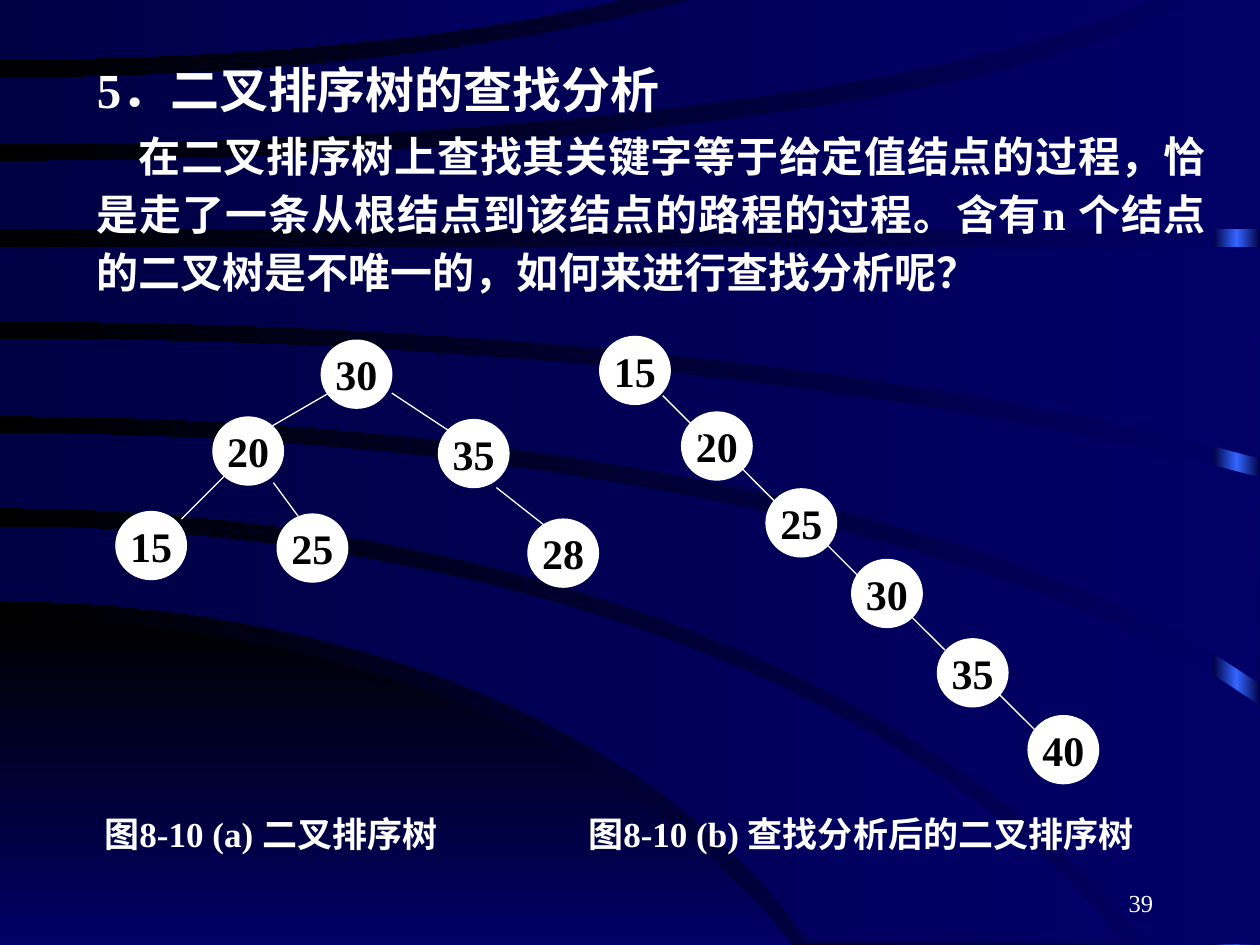
"""Build a slide on search analysis in binary search trees."""
import copy
import math

import pptx
import pptx.dml.color
import pptx.enum.shapes
import pptx.enum.text
import pptx.oxml.ns
import pptx.util

COLORS = {"navy": "000066", "deep": "000044", "black": "000000",
          "glow": "3366FF", "white": "FFFFFF"}
LATIN, CJK = "Times New Roman", "Noto Sans CJK SC"
WIDTH, HEIGHT = 10, 7.5
NODE_W, NODE_H = 0.56, 0.54
ARC_STEPS = 24

# Each arc is (start y, total drop, p, q) on the ellipse x² = p·d - q·d².
HILL = ((4.91, 2.59, 21.2, 2.3), [(0, HEIGHT)], None)
BANDS = [
    ((4.77, 2.71, 21.8, 2.44), [], (4.18, 3.3, 34.1, 3.02)),
    ((4.03, 3.45, 33.75, 2.84), [(WIDTH, HEIGHT)], (3.44, 2.16, 64.3, 8.34)),
    ((3.3, 2.12, 65.3, 8.6), [], (2.69, 1.1, 108.5, 16)),
    ((2.55, 1.09, 111.3, 18), [(WIDTH, 1.96), (0, 1.96)], None),
    ((1.28, -1.3, 112, 33.6), [(WIDTH, 0), (WIDTH, 1.82), (0, 1.82)], None),
    ((1.14, -1.16, 108.4, 31), [], (0.62, -0.64, 58, 15.2)),
    ((0.47, -0.49, 63, 24), [(0, 0)], None),
]
NODES = [("30", 2.55, 2.7), ("25", 2.2, 4.08), ("28", 4.19, 4.12), ("15", 0.92, 4.06),
         ("35", 3.48, 3.33), ("20", 1.69, 3.31),
         ("15", 4.76, 2.67), ("20", 5.41, 3.27), ("25", 6.08, 3.88),
         ("30", 6.76, 4.44), ("35", 7.44, 5.07), ("40", 8.16, 5.68)]
BRANCHES = [(2.61, 3.12, 2.11, 3.41), (1.78, 3.78, 1.44, 4.12), (3.11, 3.12, 3.61, 3.45),
            (3.94, 3.87, 4.36, 4.2), (2.17, 3.83, 2.42, 4.17)]
CHAIN_STARTS = [(5.26, 3.14), (5.84, 3.67), (6.57, 4.33), (7.17, 4.83), (7.92, 5.5)]
CHAIN_STEP = 0.33
HEADING = [("5．二叉排序树的查找分析", LATIN)]
BODY = [("在二叉排序树上查找其关键字等于给定值结点的过程，恰是走了一条从根结点到该结点的路程的过程。含有", CJK),
        ("n ", LATIN),
        ("个结点的二叉树是不唯一的，如何来进行查找分析呢？", CJK)]
CAPTIONS = [(0.73, 3.5, [("图", CJK), ("8-10 (a) 二叉排序树", LATIN)]),
            (4.57, 5.1, [("图", CJK), ("8-10 (b) 查找分析后的二叉排序树", LATIN)])]
PAGE = [("39", LATIN)]

ALIGN = pptx.enum.text.PP_ALIGN
qn = pptx.oxml.ns.qn


def inch(value):
    return pptx.util.Cm(value * 2.54)


def rgb(name):
    return pptx.dml.color.RGBColor.from_string(COLORS[name])


def set_gradient(fill, start, end, angle=180):
    fill.gradient()
    fill.gradient_angle = angle
    for stop, name, position in zip(fill.gradient_stops, (start, end), (0, 1)):
        stop.color.rgb = rgb(name)
        stop.position = position


def arc_points(start_y, drop, p, q):
    points = []
    for i in range(ARC_STEPS + 1):
        y = drop * (i / ARC_STEPS) ** 2
        d = abs(y)
        points.append((min(WIDTH, math.sqrt(p * d - q * d * d)), start_y + y))
    return points


def add_outline(s, outline, start, end, angle=180):
    first, corners, last = outline
    points = arc_points(*first) + corners
    if last:
        points += arc_points(*last)[::-1]
    points = [(inch(x), inch(y)) for x, y in points]
    builder = s.shapes.build_freeform(*points[0])
    builder.add_line_segments(points[1:])
    sp = builder.convert_to_shape()
    sp.shadow.inherit = False
    sp.line.fill.background()
    set_gradient(sp.fill, start, end, angle)


def add_side_bar(s):
    sp = s.shapes.add_shape(pptx.enum.shapes.MSO_SHAPE.RECTANGLE,
                            inch(9.63), 0, inch(0.37), inch(HEIGHT))
    sp.shadow.inherit = False
    sp.line.fill.background()
    set_gradient(sp.fill, "deep", "deep")
    first = sp._element.spPr.find(".//" + qn("a:gs"))
    middle = copy.deepcopy(first)
    first.addnext(middle)
    middle.set("pos", "50000")
    middle.find(qn("a:srgbClr")).set("val", COLORS["glow"])


def write(p, runs, size, align, color="white", bold=True):
    p.alignment = align
    for text, font in runs:
        r = p.add_run()
        r.text = text
        r.font.name, r.font.size, r.font.bold = font, pptx.util.Pt(size), bold
        r.font.color.rgb = rgb(color)
        ea = r._r.get_or_add_rPr().makeelement(qn("a:ea"), {"typeface": CJK})
        r._r.rPr.find(qn("a:latin")).addnext(ea)


def add_text_box(s, x, y, w, h):
    tf = s.shapes.add_textbox(inch(x), inch(y), inch(w), inch(h)).text_frame
    tf.word_wrap = True
    return tf


def add_node(s, label, x, y):
    sp = s.shapes.add_shape(pptx.enum.shapes.MSO_SHAPE.OVAL,
                            inch(x), inch(y), inch(NODE_W), inch(NODE_H))
    sp.shadow.inherit = False
    sp.fill.solid()
    sp.fill.fore_color.rgb = sp.line.color.rgb = rgb("white")
    sp.line.width = pptx.util.Pt(0.75)
    tf = sp.text_frame
    tf.word_wrap = False
    tf.vertical_anchor = pptx.enum.text.MSO_ANCHOR.MIDDLE
    write(tf.paragraphs[0], [(label, LATIN)], 24, ALIGN.CENTER, "black")


def add_edge(s, ends):
    line = s.shapes.add_connector(pptx.enum.shapes.MSO_CONNECTOR.STRAIGHT,
                                  *[inch(v) for v in ends])
    line.line.color.rgb = rgb("white")
    line.line.width = pptx.util.Pt(0.75)
    sp_pr = line._element.spPr
    sp_pr.append(sp_pr.makeelement(qn("a:effectLst"), {}))


def main():
    prs = pptx.Presentation()
    prs.slide_width, prs.slide_height = inch(WIDTH), inch(HEIGHT)
    s = prs.slides.add_slide(prs.slide_layouts[6])
    set_gradient(s.background.fill, "navy", "black")
    add_side_bar(s)
    add_outline(s, HILL, "black", "navy", 270)
    for band in BANDS:
        add_outline(s, band, "navy", "deep")

    tf = add_text_box(s, 0.67, 0.42, 9, 1.99)
    write(tf.paragraphs[0], HEADING, 28, ALIGN.JUSTIFY)
    p = tf.add_paragraph()
    p.line_spacing, p.space_before = 1.15, pptx.util.Pt(3)
    write(p, BODY, 24, ALIGN.JUSTIFY)
    p._p.get_or_add_pPr().set("indent", str(int(inch(0.33))))

    for x, w, runs in CAPTIONS:
        write(add_text_box(s, x, 6.4, w, 0.44).paragraphs[0], runs, 20, ALIGN.LEFT)
    for node in NODES:
        add_node(s, *node)
    chain = [(x, y, x + CHAIN_STEP, y + CHAIN_STEP) for x, y in CHAIN_STARTS]
    for ends in BRANCHES + chain:
        add_edge(s, ends)

    tf = add_text_box(s, 7.17, 6.83, 2.08, 0.5)
    tf.vertical_anchor = pptx.enum.text.MSO_ANCHOR.BOTTOM
    write(tf.paragraphs[0], PAGE, 14, ALIGN.RIGHT, bold=False)
    prs.save("out.pptx")


if __name__ == "__main__":
    main()
